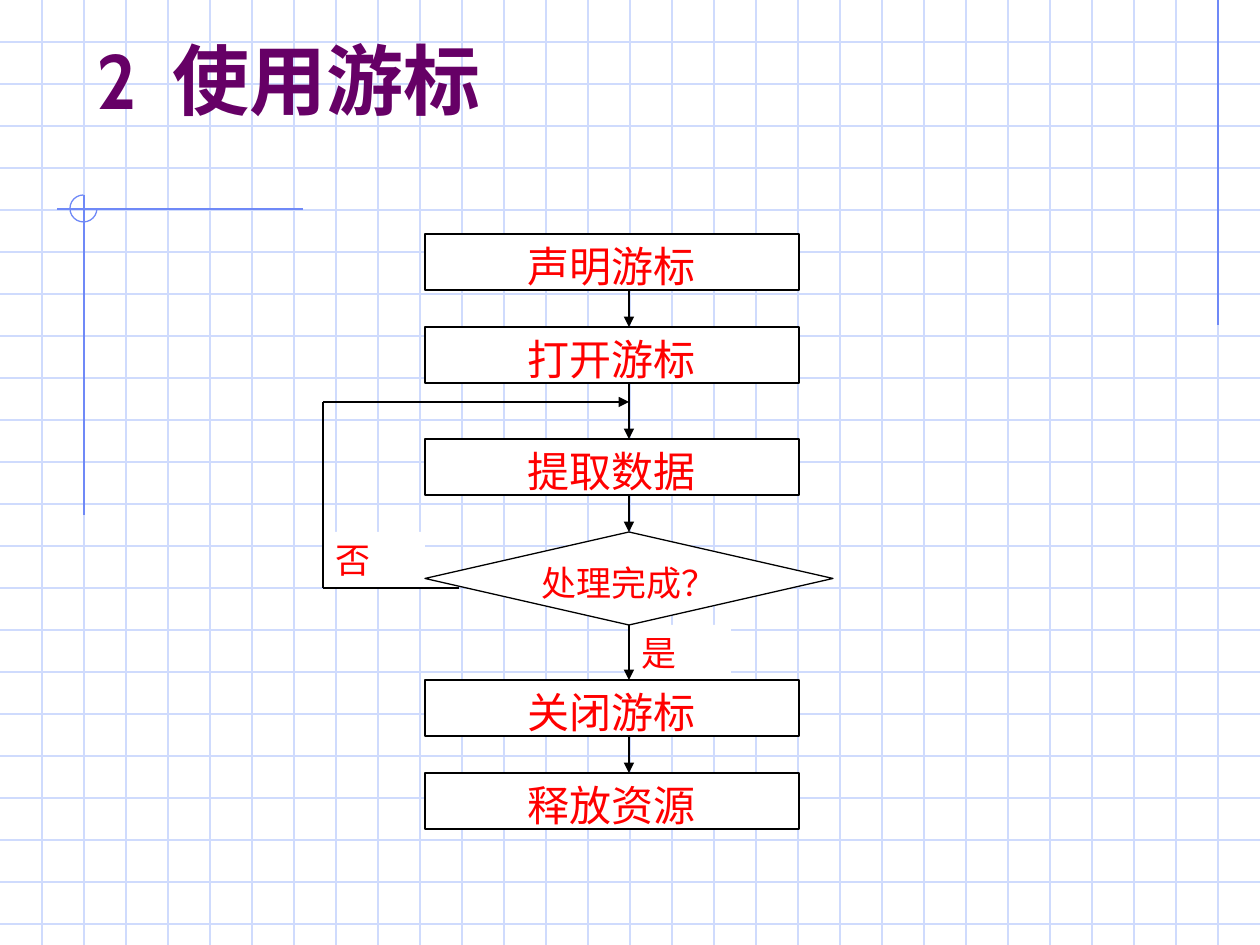
import lxml.etree
import pptx
import pptx.dml.color
import pptx.enum.shapes
import pptx.enum.text
import pptx.oxml.ns
import pptx.util

SHAPE = pptx.enum.shapes.MSO_SHAPE
ALIGN = pptx.enum.text.PP_ALIGN
ANCHOR = pptx.enum.text.MSO_ANCHOR
WIDTH, HEIGHT, GRID = 1260, 945, 42
PALE, BLUE, PURPLE, RED = "CFDBFD", "6F89F7", "660066", "FF0000"
BLACK, WHITE = "000000", "FFFFFF"


def px(n):
    return pptx.util.Emu(round(n * 914400 / 126))


def rgb(value):
    return pptx.dml.color.RGBColor.from_string(value)


def add_line(s, x1, y1, x2, y2, color, arrow=False):
    line = s.shapes.add_connector(
        pptx.enum.shapes.MSO_CONNECTOR.STRAIGHT, px(x1), px(y1), px(x2), px(y2))
    line.line.color.rgb = rgb(color)
    line.line.width = pptx.util.Pt(0.75)
    qn = pptx.oxml.ns.qn
    if arrow:
        ln = line.line._get_or_add_ln()
        lxml.etree.SubElement(ln, qn("a:tailEnd"), type="triangle")
    lxml.etree.SubElement(line._element.spPr, qn("a:effectLst"))


def add_box(s, x, y, w, h, text, size, kind=SHAPE.RECTANGLE,
            outlined=True, align=ALIGN.CENTER):
    sp = s.shapes.add_shape(kind, px(x), px(y), px(w), px(h))
    sp.shadow.inherit = False
    sp.fill.solid()
    sp.fill.fore_color.rgb = rgb(WHITE)
    if outlined:
        sp.line.color.rgb = rgb(BLACK)
        sp.line.width = pptx.util.Pt(0.75)
    else:
        sp.line.fill.background()
    tf = sp.text_frame
    tf.word_wrap = True
    tf.vertical_anchor = ANCHOR.TOP
    p = tf.paragraphs[0]
    p.text = text
    p.alignment = align
    p.font.name = "Times New Roman"
    p.font.size = pptx.util.Pt(size)
    p.font.color.rgb = rgb(RED)


def add_backdrop(s, w, h):
    """Draw the squared paper and its blue margin lines."""
    for y in range(GRID, h, GRID):
        add_line(s, 0, y, w, y, PALE)
    for x in range(GRID, w, GRID):
        add_line(s, x, 0, x, h, PALE)
    add_line(s, w - GRID, 0, w - GRID, 325, BLUE)
    add_line(s, 303, 209, 57, 209, BLUE)
    add_line(s, 2 * GRID, 195, 2 * GRID, 515, BLUE)
    arc = s.shapes.add_shape(SHAPE.ARC, px(70), px(195), px(27), px(27))
    arc.shadow.inherit = False
    arc.adjustments[0] = 0
    arc.adjustments[1] = 162  # 270 degrees
    arc.fill.background()
    arc.line.color.rgb = rgb(BLUE)
    arc.line.width = pptx.util.Pt(0.75)


def add_title(s, x, y, w, h):
    title = s.shapes.title
    title.left, title.top, title.width, title.height = px(x), px(y), px(w), px(h)
    title.element.getparent().append(title.element)  # in front of the grid
    tf = title.text_frame
    tf.auto_size = pptx.enum.text.MSO_AUTO_SIZE.NONE
    tf.vertical_anchor = ANCHOR.BOTTOM
    p = tf.paragraphs[0]
    p.alignment = ALIGN.LEFT
    number, heading = p.add_run(), p.add_run()
    number.text, heading.text = "2 ", "使用游标"
    number._r.get_or_add_rPr().set("spc", "500")  # wide gap after the number
    p.font.name = "Cabin"
    p.font.size = pptx.util.Pt(44)
    p.font.bold = True
    p.font.color.rgb = rgb(PURPLE)


def add_flowchart(s, x, y):
    step_x, step_w, step_h = x + 102, 374, 56
    axis, test_y, test_h = x + 306, y + 298, 93
    for label, left, top in (("是", axis, test_y + test_h), ("否", x, test_y)):
        add_box(s, left, top, 102, step_h, label, 20,
                outlined=False, align=ALIGN.JUSTIFY)
    steps = (("声明游标", 0), ("打开游标", 93), ("提取数据", 205),
             ("关闭游标", 446), ("释放资源", 539))
    for text, top in steps:
        add_box(s, step_x, y + top, step_w, step_h, text, 24)
    add_box(s, step_x, test_y, 408, test_h, "处理完成？", 20, SHAPE.DIAMOND)

    spans = sorted([(y + top, step_h) for _, top in steps] + [(test_y, test_h)])
    for (top, height), (next_top, _) in zip(spans, spans[1:]):
        add_line(s, axis, top + height, axis, next_top, BLACK, arrow=True)

    loop_top, loop_bottom = y + 168, test_y + step_h
    add_line(s, x + 136, loop_bottom, x, loop_bottom, BLACK)
    add_line(s, x, loop_bottom, x, loop_top, BLACK)
    add_line(s, x, loop_top, axis, loop_top, BLACK, arrow=True)


def main():
    prs = pptx.Presentation()
    prs.slide_width, prs.slide_height = px(WIDTH), px(HEIGHT)
    s = prs.slides.add_slide(prs.slide_layouts[5])
    s.background.fill.solid()
    s.background.fill.fore_color.rgb = rgb(WHITE)
    add_backdrop(s, WIDTH, HEIGHT)
    add_title(s, 84, 42, 1071, 89)
    add_flowchart(s, 323, 234)
    prs.save("out.pptx")


if __name__ == "__main__":
    main()
